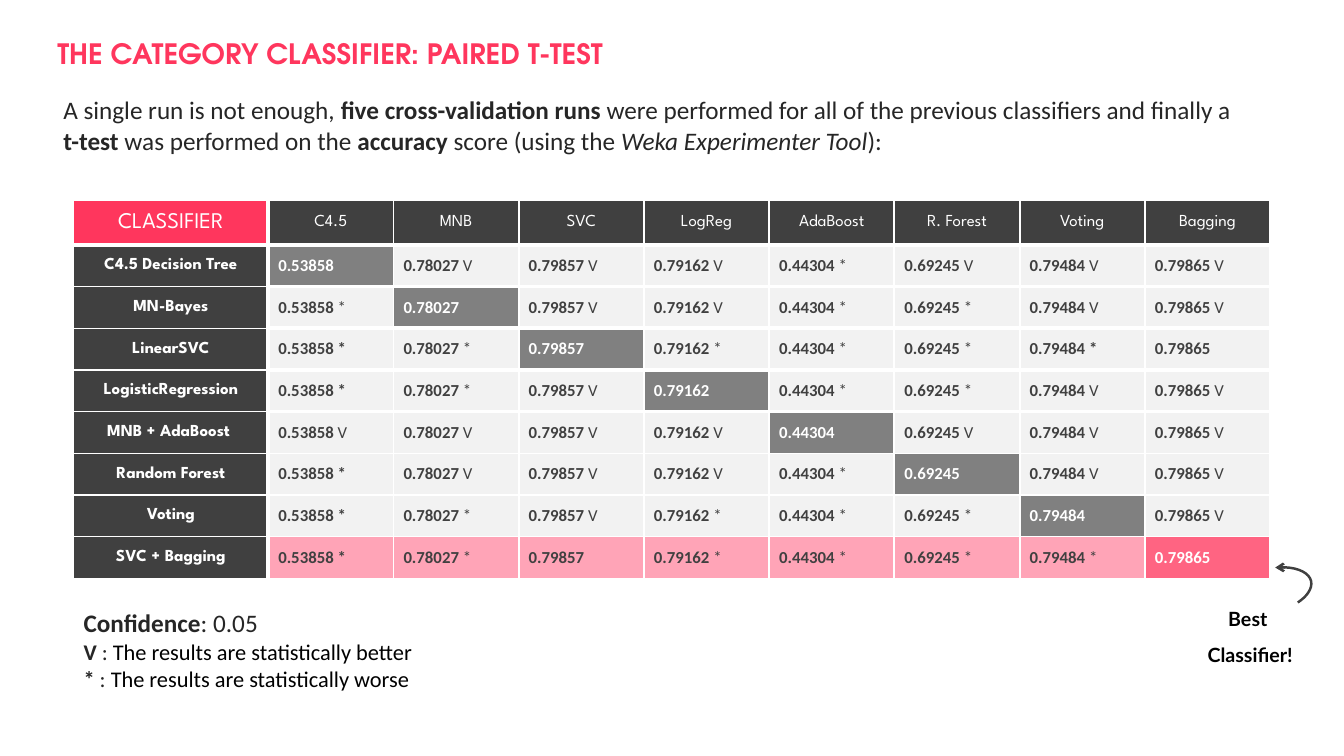
from lxml.etree import SubElement
from pptx import Presentation
from pptx.dml.color import RGBColor
from pptx.enum.shapes import MSO_SHAPE as SHAPE
from pptx.enum.text import MSO_ANCHOR as ANCHOR, MSO_AUTO_SIZE as AUTO_SIZE, PP_ALIGN as ALIGN
from pptx.oxml.ns import qn
from pptx.util import Pt

PX = 9144  # 100 px to the inch
PINK = RGBColor(0xFF, 0x36, 0x5D)
PALE_PINK = RGBColor(0xFF, 0xA4, 0xB7)
DARK = RGBColor(0x40, 0x40, 0x40)
GREY = RGBColor(0x80, 0x80, 0x80)
LIGHT = RGBColor(0xF2, 0xF2, 0xF2)
INK = RGBColor(0x26, 0x26, 0x26)
BLACK = RGBColor(0, 0, 0)
WHITE = RGBColor(0xFF, 0xFF, 0xFF)

deck = Presentation()
deck.slide_width, deck.slide_height = 1333 * PX, 750 * PX
slide = deck.slides.add_slide(deck.slide_layouts[6])


def write(paragraph, runs, color, **base):
    """Add (text, changes) runs; changes override the base font values."""
    for text, changes in runs:
        run = paragraph.add_run()
        run.text = text
        values = {"color": color, **base, **changes}
        run.font.color.rgb = values.pop("color")
        for name, value in values.items():
            setattr(run.font, name, value)


def text_frame(left, top, width, height):
    frame = slide.shapes.add_textbox(left * PX, top * PX, width * PX, height * PX).text_frame
    frame.word_wrap = True
    frame.auto_size = AUTO_SIZE.SHAPE_TO_FIT_TEXT
    return frame


BOLD, ITALIC = {"bold": True}, {"italic": True}

# Title and introduction
title = text_frame(47, 31, 972, 44)
write(title.paragraphs[0], [("THE CATEGORY CLASSIFIER: PAIRED T-TEST", BOLD)],
      PINK, size=Pt(20), name="TeX Gyre Adventor")

intro = text_frame(53, 89, 1187, 71)
write(intro.paragraphs[0], [
    ("A single run is not enough, ", {}),
    ("five cross-validation runs ", BOLD),
    ("were performed for all of the previous classifiers and finally a ", {}),
    ("t-test ", BOLD),
    ("was performed on the ", {}),
    ("accuracy", BOLD),
    (" score (using the ", {}),
    ("Weka Experimenter Tool", ITALIC),
    ("):", {}),
], INK, size=Pt(18), name="Calibri")

# Score table: one verdict per column, "-" where there is none
headers = ["CLASSIFIER", "C4.5", "MNB", "SVC", "LogReg", "AdaBoost", "R. Forest", "Voting", "Bagging"]
scores = ["0.53858", "0.78027", "0.79857", "0.79162", "0.44304", "0.69245", "0.79484", "0.79865"]
verdicts = [
    ("C4.5 Decision Tree", "-VVV*VVV"),
    ("MN-Bayes", "*-VV**VV"),
    ("LinearSVC", "**-****-"),
    ("LogisticRegression", "**V-**VV"),
    ("MNB + AdaBoost ", "VVVV-VVV"),
    ("Random Forest", "*VVV*-VV"),
    ("Voting", "**V***-V"),
    ("SVC + Bagging", "**-****-"),
]
BOLD_STARS = {(3, 1), (4, 1), (6, 1), (7, 1), (8, 1), (3, 7)}
LAST = len(scores)

table = slide.shapes.add_table(LAST + 1, LAST + 1, 73 * PX, 199 * PX, 1187 * PX, 375 * PX).table
table.first_row = table.horz_banding = False
table.columns[0].width, table.rows[0].height = 193 * PX, 44 * PX
for i in range(1, LAST + 1):
    table.columns[i].width = 994 * PX // LAST
    table.rows[i].height = 331 * PX // LAST

for row in range(LAST + 1):
    for col in range(LAST + 1):
        cell = table.cell(row, col)
        cell.vertical_anchor = ANCHOR.MIDDLE
        paragraph = cell.text_frame.paragraphs[0]

        # Text and fill colour
        if row == 0 or col == 0:
            fill = DARK if row or col else PINK
            label = headers[col] if row == 0 else verdicts[row - 1][0]
            paragraph.alignment = ALIGN.CENTER
            write(paragraph, [(label, {"bold": row > 0})], WHITE,
                  size=Pt(12 if row or col else 16), name="League Spartan")
        else:
            own = row == col
            fill = GREY if own else PALE_PINK if row == LAST else LIGHT
            if own and row == LAST:
                fill = PINK
            runs = [(scores[col - 1], BOLD)]
            mark = verdicts[row - 1][1][col - 1]
            if mark != "-":
                runs.append((" " + mark, {"bold": (row, col) in BOLD_STARS}))
            write(paragraph, runs, WHITE if own else DARK, size=Pt(12), name="Calibri")

        # Borders: thick around the headers and between the upper body rows
        borders = {
            "a:lnL": {0: 1, 1: 3}.get(col, 1.5),
            "a:lnR": {0: 3, LAST: 1}.get(col, 1.5),
            "a:lnT": 3 if col and 1 <= row <= 5 else 1,
            "a:lnB": 3 if row == 0 or col and row <= 4 else 1,
        }
        properties = cell._tc.get_or_add_tcPr()
        for side, width in borders.items():
            edge = SubElement(properties, qn(side), w=str(Pt(width)))
            SubElement(SubElement(edge, qn("a:solidFill")), qn("a:srgbClr"), val=str(WHITE))
        cell.fill.solid()
        cell.fill.fore_color.rgb = fill
        if row == col == LAST:
            shade = properties.find(qn("a:solidFill")).find(qn("a:srgbClr"))
            SubElement(shade, qn("a:alpha"), val="77000")

# Legend
legend = text_frame(73, 598, 379, 94)
write(legend.paragraphs[0], [("Confidence", BOLD), (": 0.05", {})], INK, size=Pt(18), name="Calibri")
for mark, outcome in [("V ", "better"), ("* ", "worse")]:
    write(legend.add_paragraph(), [
        (mark, BOLD),
        (": ", {}),
        ("The results are statistically " + outcome, {"color": BLACK}),
    ], INK, size=Pt(16), name="Calibri")

# Curved arrow to the best score
arrow = slide.shapes.add_shape(SHAPE.ARC, 1236 * PX, 543 * PX, 44 * PX, 87 * PX)
arrow.shadow.inherit = False
arrow.adjustments[0], arrow.adjustments[1] = 125.74, 182.73
arrow.rotation = 256.6
arrow.fill.background()
arrow.line.color.rgb = DARK
arrow.line.width = Pt(1.75)
outline = arrow.element.spPr
for flip in ("flipH", "flipV"):
    outline.find(qn("a:xfrm")).set(flip, "1")
SubElement(outline.find(qn("a:ln")), qn("a:headEnd"), type="arrow")

# Caption of the arrow
caption = text_frame(1177, 586, 126, 81)
for paragraph, word in [(caption.paragraphs[0], "Best "), (caption.add_paragraph(), "Classifier!")]:
    paragraph.alignment = ALIGN.CENTER
    paragraph.line_spacing = 1.5
    write(paragraph, [(word, BOLD)], BLACK, size=Pt(14), name="Lato")

deck.save("out.pptx")
